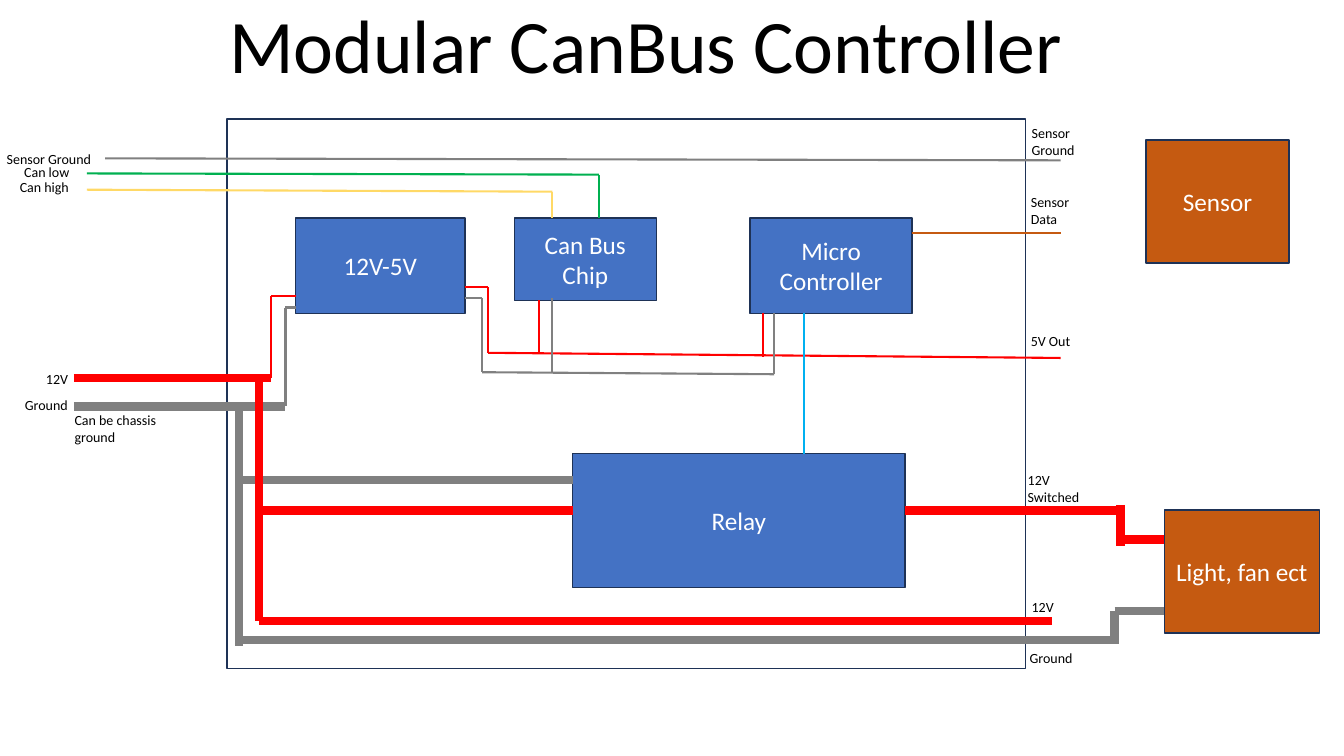
from itertools import pairwise
from lxml.etree import SubElement
from pptx import Presentation
from pptx.dml.color import RGBColor
from pptx.enum.shapes import MSO_CONNECTOR, MSO_SHAPE
from pptx.enum.text import MSO_ANCHOR, MSO_AUTO_SIZE, PP_ALIGN
from pptx.oxml.ns import qn
from pptx.util import Cm, Pt

HUES = {
    "white": "FFFFFF", "black": "000000", "edge": "1E3256",
    "blue": "4472C4", "rust": "C55A11", "red": "FF0000",
    "gray": "808080", "green": "00B050", "gold": "FFD966", "sky": "00B0F0",
}
FONT = "Calibri"
THIN, MID, THICK = 1.5, 2.25, 6


def hue(name):
    return RGBColor.from_string(HUES[name])


def write(frame, text, size, tint, align):
    par = frame.paragraphs[0]
    par.alignment = align
    run = par.add_run()
    run.text = text
    run.font.name = FONT
    run.font.size = Pt(size)
    run.font.color.rgb = hue(tint)


def block(slide, box, spot, text="", tint=None):
    x, y, wide, high = spot
    shape = slide.shapes.add_shape(
        MSO_SHAPE.RECTANGLE, Cm(box[0] + x), Cm(box[1] + y), Cm(wide), Cm(high))
    shape.shadow.inherit = False
    shape.line.color.rgb = hue("edge")
    shape.line.width = Pt(1)
    if tint:
        shape.fill.solid()
        shape.fill.fore_color.rgb = hue(tint)
    else:
        shape.fill.background()
    if text:
        frame = shape.text_frame
        frame.word_wrap = True
        frame.vertical_anchor = MSO_ANCHOR.MIDDLE
        write(frame, text, 18, "white", PP_ALIGN.CENTER)


def wire(slide, box, tint, width, *points):
    for (ax, ay), (bx, by) in pairwise(points):
        line = slide.shapes.add_connector(
            MSO_CONNECTOR.STRAIGHT, Cm(box[0] + ax), Cm(box[1] + ay),
            Cm(box[0] + bx), Cm(box[1] + by))
        line.line.color.rgb = hue(tint)
        line.line.width = Pt(width)
        SubElement(line._element.spPr, qn("a:effectLst"))


def labels(slide, box, items):
    for text, x, y, wide, high in items:
        note = slide.shapes.add_textbox(
            Cm(box[0] + x), Cm(box[1] + y), Cm(wide), Cm(high))
        note.text_frame.word_wrap = True
        write(note.text_frame, text, 10, "black", PP_ALIGN.LEFT)


def title(slide, box):
    head = slide.shapes.title
    head.left, head.top, head.width, head.height = map(Cm, box)
    frame = head.text_frame
    frame.word_wrap = False
    frame.auto_size = MSO_AUTO_SIZE.NONE
    frame.vertical_anchor = MSO_ANCHOR.TOP
    write(frame, "Modular CanBus Controller", 54, "black", PP_ALIGN.CENTER)


def board(slide, box):
    block(slide, box, (0, 0, box[2], box[3]))
    for text, *spot in [
        ("12V-5V", 1.73, 2.49, 4.27, 2.41),
        ("Micro Controller", 13.18, 2.49, 4.09, 2.41),
        ("Can Bus Chip", 7.24, 2.49, 3.58, 2.08),
        ("Relay", 8.71, 8.43, 8.38, 3.38),
    ]:
        block(slide, box, spot, text, "blue")


def power(slide, box):
    for run in [
        ("red", THICK, (-3.86, 6.53), (1.12, 6.53)),
        ("red", THIN, (1.12, 6.53), (1.12, 4.45), (1.73, 4.45)),
        ("gray", THICK, (-3.86, 7.24), (1.47, 7.24)),
        ("gray", THICK, (0.3, 7.24), (0.3, 13.28)),
        ("gray", THICK, (0.3, 9.09), (8.71, 9.09)),
        ("gray", MID, (1.47, 7.24), (1.47, 4.75), (1.73, 4.75)),
        ("red", THICK, (0.81, 6.53), (0.81, 12.65)),
        ("red", THICK, (0.81, 9.86), (8.71, 9.86)),
        ("red", THICK, (0.81, 12.65), (20.8, 12.65)),
        ("gray", THICK, (0.3, 13.13), (22.4, 13.13)),
        ("red", THICK, (17.09, 9.86), (22.53, 9.86)),
    ]:
        wire(slide, box, *run)


def signals(slide, box):
    for run in [
        ("red", THIN, (5.99, 4.24), (6.58, 4.24), (6.58, 5.89), (21.01, 6.02)),
        ("gray", THIN, (5.99, 4.52), (6.43, 4.52), (6.43, 6.38),
         (13.79, 6.43), (13.79, 4.88)),
        ("red", THIN, (7.87, 4.57), (7.87, 5.89)),
        ("red", THIN, (13.51, 4.88), (13.51, 5.99)),
        ("gray", THIN, (8.2, 6.38), (8.2, 4.52)),
        ("sky", THIN, (14.55, 4.88), (14.55, 8.43)),
        ("gold", THIN, (-3.53, 1.78), (8.2, 1.83), (8.2, 2.49)),
        ("green", THIN, (-3.53, 1.37), (9.37, 1.4), (9.37, 2.49)),
        ("rust", THIN, (21.01, 2.87), (17.27, 2.87)),
        ("gray", THIN, (21.01, 1.04), (-3.07, 0.99)),
    ]:
        wire(slide, box, *run)


def inputs(slide, box):
    labels(slide, box, [
        ("Sensor Ground", -0.08, 0, 2.72, 0.68),
        ("Can low", 0.36, 0.33, 1.85, 0.68),
        ("Can high", 0.25, 0.71, 1.85, 0.68),
        ("12V", 0.91, 5.54, 1.57, 0.68),
        ("Ground", 0.38, 6.2, 1.7, 0.68),
        ("Can be chassis ground", 1.63, 6.58, 2.9, 1.11),
    ])


def outputs(slide, box):
    labels(slide, box, [
        ("Sensor Ground", 0.1, 0, 1.73, 1.11),
        ("Sensor Data", 0.08, 1.73, 1.57, 1.11),
        ("5V Out", 0.08, 5.23, 1.57, 0.68),
        ("12V Switched", 0, 8.74, 1.85, 1.11),
        ("12V", 0.1, 11.94, 1.57, 0.68),
        ("Ground", 0.05, 13.21, 1.78, 0.68),
    ])


def loads(slide, box):
    block(slide, box, (0, 0, 3.61, 3.1), "Sensor", "rust")
    block(slide, box, (0.46, 9.32, 3.91, 3.1), "Light, fan ect", "rust")
    for run in [
        ("red", THICK, (-0.64, 9.19), (-0.64, 10.24)),
        ("red", THICK, (-0.64, 10.06), (0.46, 10.06)),
        ("gray", THICK, (-0.79, 11.86), (-0.79, 12.7)),
        ("gray", THICK, (-0.79, 11.86), (0.46, 11.86)),
    ]:
        wire(slide, box, *run)


def main():
    deck = Presentation()
    deck.slide_width, deck.slide_height = Cm(33.87), Cm(19.05)
    slide = deck.slides.add_slide(deck.slide_layouts[5])
    frame = (5.72, 3, 20.12, 13.84)
    title(slide, (5.41, -0.18, 21.72, 2.57))
    board(slide, frame)
    power(slide, frame)
    signals(slide, frame)
    inputs(slide, (0, 3.66))
    outputs(slide, (25.65, 3.02))
    loads(slide, (28.88, 3.53))
    deck.save("out.pptx")


if __name__ == "__main__":
    main()
